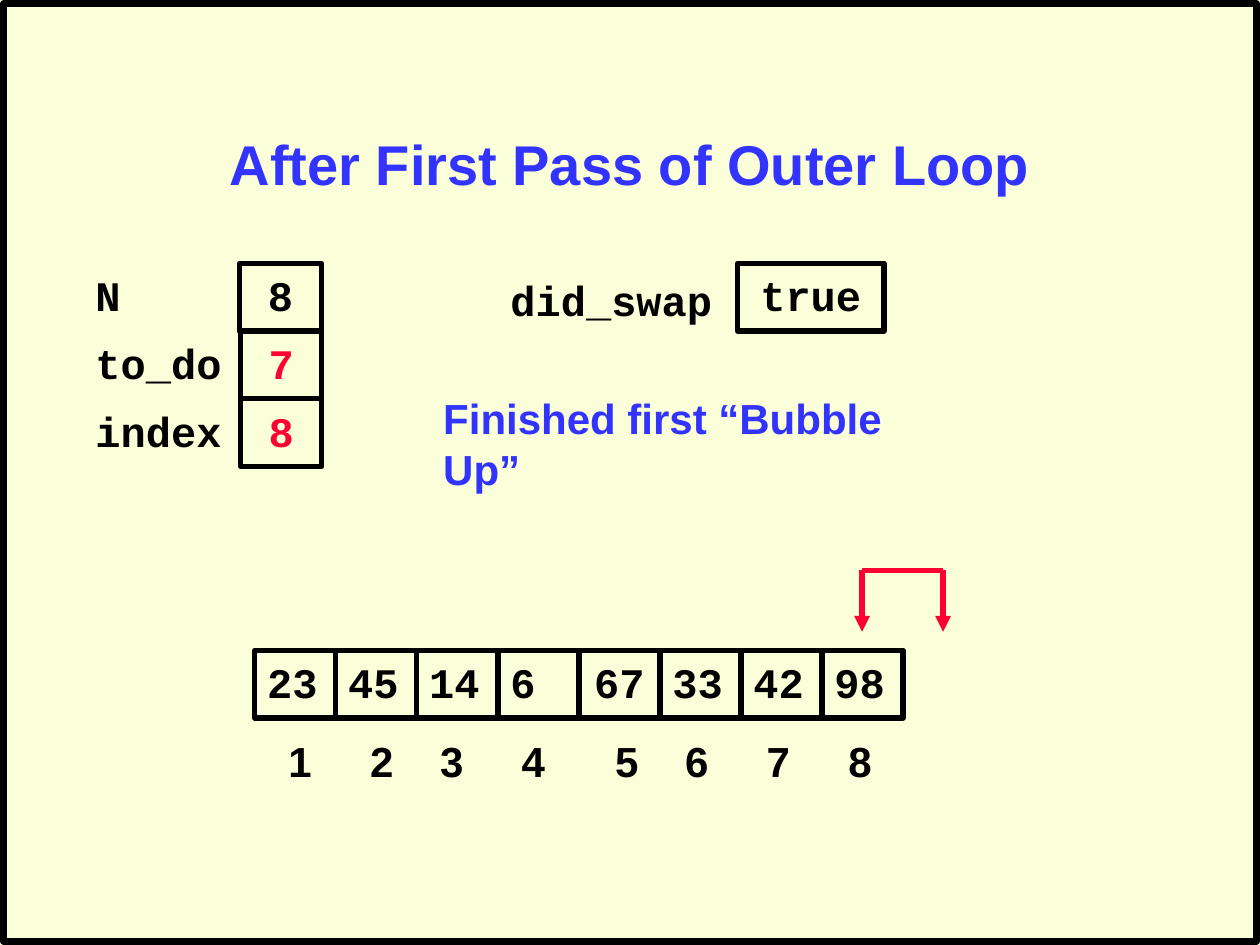
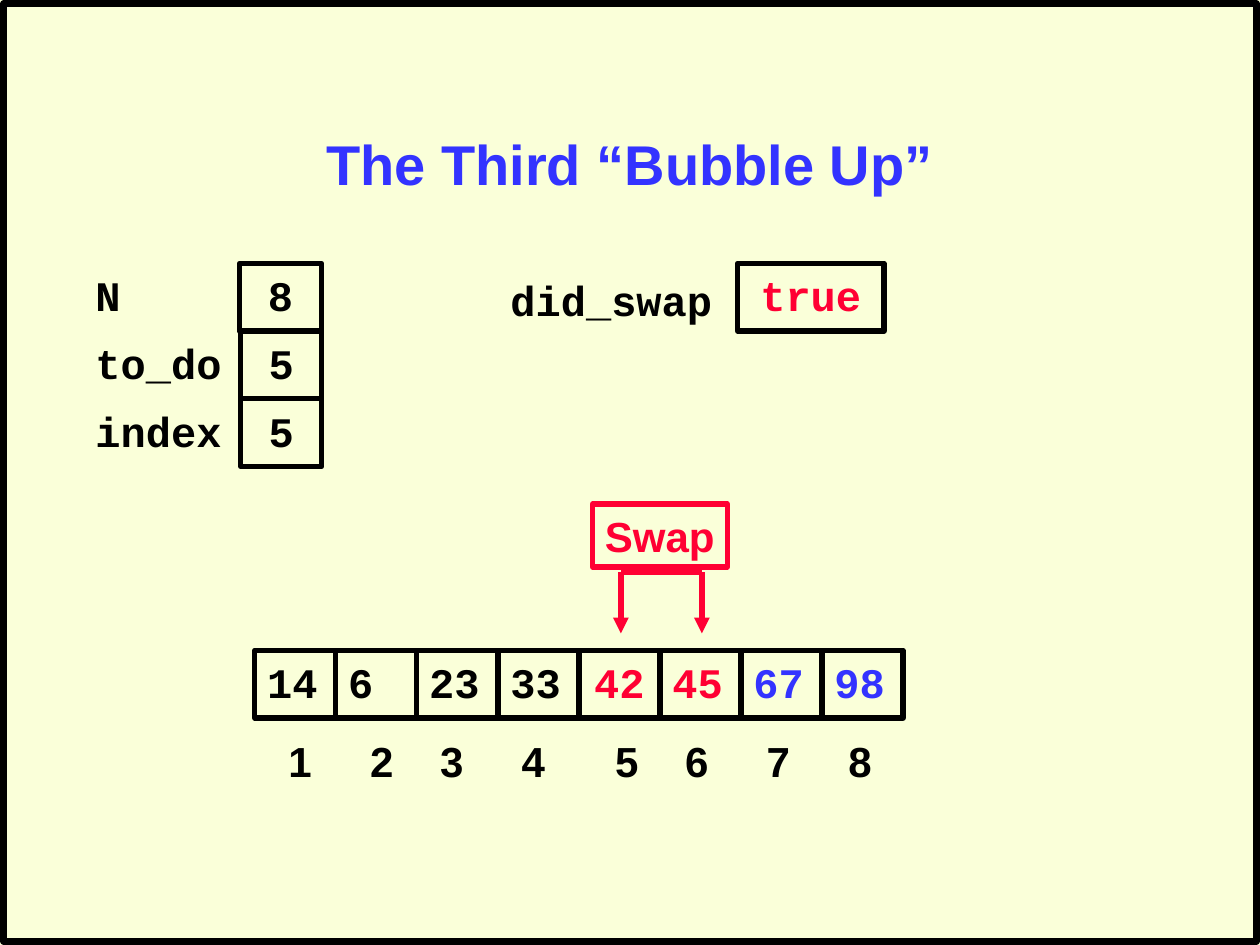
from dataclasses import dataclass

from lxml import etree
from pptx import Presentation
from pptx.dml.color import RGBColor
from pptx.enum.shapes import MSO_CONNECTOR, MSO_SHAPE
from pptx.enum.text import MSO_ANCHOR, PP_ALIGN
from pptx.oxml.ns import qn
from pptx.util import Pt

LEFT, CENTER = PP_ALIGN.LEFT, PP_ALIGN.CENTER
TOP, MIDDLE = MSO_ANCHOR.TOP, MSO_ANCHOR.MIDDLE
RECTANGLE = MSO_SHAPE.RECTANGLE
STRAIGHT = MSO_CONNECTOR.STRAIGHT


@dataclass(frozen=True)
class Theme:
    paper: RGBColor = RGBColor(0xFA, 0xFF, 0xD9)
    ink: RGBColor = RGBColor(0, 0, 0)
    blue: RGBColor = RGBColor(0x33, 0x33, 0xFF)
    red: RGBColor = RGBColor(0xFF, 0, 0x33)
    sans: str = "Arial"
    mono: str = "Courier New"
    title_size: float = 32
    body_size: float = 24
    line: float = 3
    border: float = 3.75


THEME = Theme()
BOX_HEIGHT = 38.7
LABEL_HEIGHT = 36
VARIABLE_TOP = 150.5
ARRAY_LEFT, ARRAY_TOP, CELL_WIDTH = 145.6, 371.6, 46.3
CENTERED_CELL = 4
INDEX_STOPS = (46.67, 86.67, 133.33, 186.67, 226.67, 273.33, 320)


def write(shape, text, color, font, size=THEME.body_size, align=LEFT,
          anchor=TOP, wrap=False):
    frame = shape.text_frame
    frame.word_wrap = wrap
    frame.vertical_anchor = anchor
    para = frame.paragraphs[0]
    para.text = text
    para.alignment = align
    para.font.name = font
    para.font.size = Pt(size)
    para.font.bold = True
    para.font.color.rgb = color
    return para


def add_label(page, text, left, top, width, height=LABEL_HEIGHT,
              color=THEME.ink, font=THEME.mono, **style):
    label = page.shapes.add_textbox(Pt(left), Pt(top), Pt(width), Pt(height))
    return write(label, text, color, font, **style)


def add_frame(page, left, top, width, height, color=THEME.ink, line=THEME.line):
    box = page.shapes.add_shape(RECTANGLE, Pt(left), Pt(top), Pt(width), Pt(height))
    box.shadow.inherit = False
    box.fill.background()
    box.line.color.rgb = color
    box.line.width = Pt(line)
    return box


def add_value(page, text, left, top, width, color=THEME.ink, align=CENTER):
    box = add_frame(page, left, top, width, BOX_HEIGHT)
    write(box, text, color, THEME.mono, align=align)


def add_page(deck, title):
    page = deck.slides.add_slide(deck.slide_layouts[6])
    page.background.fill.solid()
    page.background.fill.fore_color.rgb = THEME.paper
    add_frame(page, 2, 2, 716, 536, line=THEME.border)
    add_label(page, title, 54, 48, 612, 90, color=THEME.blue, font=THEME.sans,
              size=THEME.title_size, align=CENTER, anchor=MIDDLE, wrap=True)
    return page


def add_array(page, values, colors):
    for position, value in enumerate(values):
        add_value(page, value, ARRAY_LEFT + position * CELL_WIDTH, ARRAY_TOP,
                  CELL_WIDTH, colors.get(position, THEME.ink),
                  CENTER if position == CENTERED_CELL else LEFT)
    indexes = "\t".join(str(number + 1) for number in range(len(values)))
    para = add_label(page, indexes, 157.7, 417, 348, font=THEME.sans, wrap=True)
    stops = etree.SubElement(para._p.get_or_add_pPr(), qn("a:tabLst"))
    para._p.pPr.insert_element_before(stops, "a:defRPr", "a:extLst")
    for stop in INDEX_STOPS:
        etree.SubElement(stops, qn("a:tab"), pos=str(Pt(stop)), algn="l")


def add_variables(page, values, color):
    for row, (name, value) in enumerate(zip(("N", "to_do", "index"), values)):
        top = VARIABLE_TOP + row * BOX_HEIGHT
        left, width = (137.6, 46.2) if row else (136.8, 47)
        add_label(page, name, 47.5, top, 86.4)
        add_value(page, value, left, top, width, color if row else THEME.ink)


def add_did_swap(page, color):
    add_label(page, "did_swap", 284.6, 153.4, 187)
    add_value(page, "true", 421.4, VARIABLE_TOP, 83.7, color)


def add_line(group, start, end, arrow=False):
    line = group.shapes.add_connector(STRAIGHT, *map(Pt, start + end))
    line.line.color.rgb = THEME.red
    line.line.width = Pt(THEME.line)
    if arrow:
        etree.SubElement(line.line._get_or_add_ln(), qn("a:tailEnd"), type="triangle")
    etree.SubElement(line._element.spPr, qn("a:effectLst"))


def add_bracket(page, left, top):
    group = page.shapes.add_group_shape()
    right, bottom = left + CELL_WIDTH, top + 35
    for x in (left, right):
        add_line(group, (x, top), (x, bottom), arrow=True)
    add_line(group, (left, top), (right, top))


def add_first_pass(deck):
    page = add_page(deck, "After First Pass of Outer Loop")
    add_array(page, ("23", "45", "14", "6", "67", "33", "42", "98"), {})
    add_variables(page, ("8", "7", "8"), THEME.red)
    add_bracket(page, 492.6, 326)
    add_label(page, "Finished first “Bubble Up”", 246.2, 221, 315.4,
              color=THEME.blue, font=THEME.sans)
    add_did_swap(page, THEME.ink)


def add_third_bubble(deck):
    page = add_page(deck, "The Third “Bubble Up”")
    swapped, settled = THEME.red, THEME.blue
    add_array(page, ("14", "6", "23", "33", "42", "45", "67", "98"),
              {4: swapped, 5: swapped, 6: settled, 7: settled})
    add_variables(page, ("8", "5", "5"), THEME.ink)
    add_bracket(page, 354.8, 327)
    add_did_swap(page, THEME.red)
    swap = add_frame(page, 338.6, 288, 77, LABEL_HEIGHT, THEME.red)
    write(swap, "Swap", THEME.red, THEME.sans)


def main():
    deck = Presentation()
    deck.slide_width, deck.slide_height = Pt(720), Pt(540)
    add_first_pass(deck)
    add_third_bubble(deck)
    deck.save("out.pptx")


if __name__ == "__main__":
    main()
